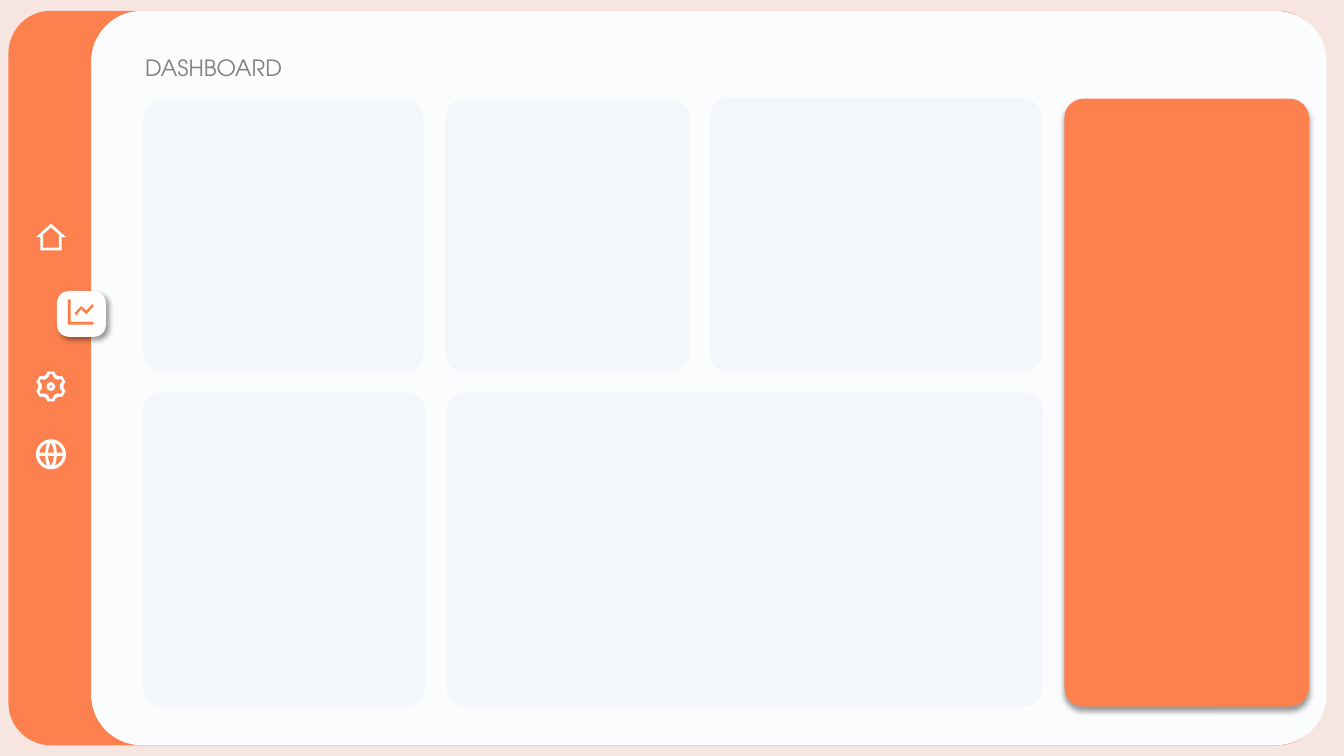
import math

from lxml import etree
from pptx import Presentation
from pptx.dml.color import RGBColor
from pptx.enum import shapes, text
from pptx.oxml import ns
from pptx.util import Pt

COLORS = {
    "backdrop": "F6E5E0",
    "orange": "FC814E",
    "panel": "FBFCFE",
    "card": "DAE3F3",
    "tile": "FFFEFD",
    "icon": "FFFFFF",
    "active": "FE7D44",
    "title": "808080",
    "shadow": "000000",
}
CARD_RADIUS = 13.7
CARDS = [
    (102.2, 70.6, 200.2, 195.6),
    (318.2, 70.6, 174.2, 195.6),
    (506.9, 69.9, 236.9, 196.3),
    (102.2, 280, 201.6, 225),
    (318.9, 280.3, 426.2, 224.5),
]


def rgb(name):
    return RGBColor.from_string(COLORS[name])


def paint(shape, color, alpha=None):
    shape.shadow.inherit = False
    shape.fill.solid()
    shape.fill.fore_color.rgb = rgb(color)
    shape.line.fill.background()
    if alpha is not None:
        tint = shape._element.spPr.find(".//" + ns.qn("a:srgbClr"))
        etree.SubElement(tint, ns.qn("a:alpha"), val=str(alpha * 1000))


def add_rounded(page, frame, radius, color, alpha=None):
    box = page.shapes.add_shape(
        shapes.MSO_SHAPE.ROUNDED_RECTANGLE, *(Pt(length) for length in frame)
    )
    box.adjustments[0] = radius / min(frame[2:])
    paint(box, color, alpha)
    return box


def drop_shadow(shape, degrees):
    effects = shape._element.spPr.find(ns.qn("a:effectLst"))
    shadow = etree.SubElement(
        effects, ns.qn("a:outerShdw"), blurRad=str(Pt(4)), dist=str(Pt(3)),
        dir=str(degrees * 60000), algn="ctr", rotWithShape="0",
    )
    shade = etree.SubElement(shadow, ns.qn("a:srgbClr"), val=COLORS["shadow"])
    etree.SubElement(shade, ns.qn("a:alpha"), val="40000")


def bend(shape, contours):
    """Join each run of three lines that stands for a curve into one Bezier."""
    lines = iter(list(shape._element.iter(ns.qn("a:lnTo"))))
    for contour in contours:
        for segment in contour[1:]:
            line = next(lines)
            if len(segment) == 6:
                line.addprevious(curve := etree.Element(ns.qn("a:cubicBezTo")))
                for part in (line, next(lines), next(lines)):
                    curve.append(part[0])
                    part.getparent().remove(part)


def add_icon(page, center, contours, color):
    """Draw closed contours of points (x, y) and curves (six numbers)."""
    def place(segment):
        return [
            (Pt(center[0] + x), Pt(center[1] + y))
            for x, y in zip(segment[::2], segment[1::2])
        ]

    builder = page.shapes.build_freeform(*place(contours[0][0])[0])
    for index, contour in enumerate(contours):
        if index:
            builder.move_to(*place(contour[0])[0])
        vertices = [spot for segment in contour[1:] for spot in place(segment)]
        builder.add_line_segments(vertices, close=True)
    icon = builder.convert_to_shape()
    bend(icon, contours)
    paint(icon, color)


def flip(contour, across=1, down=1):
    return [
        tuple(v * (down if i % 2 else across) for i, v in enumerate(segment))
        for segment in contour
    ]


def mirrored(half):
    """Close a right-hand half outline with its mirror image."""
    return half + [point for point in flip(half[::-1], across=-1) if point[0]]


def circle(r):
    k = 0.55 * r
    return [(r, 0), (r, k, k, r, 0, r), (-k, r, -r, k, -r, 0),
            (-r, -k, -k, -r, 0, -r), (k, -r, r, -k, r, 0)]


def polar(radius, degrees):
    angle = math.radians(degrees)
    return radius * math.cos(angle), radius * math.sin(angle)


def cog(radius, depth, half_tooth):
    """Outline of six flat teeth with rounded valleys between them."""
    low, slope = radius - depth, radius - 0.7 * depth
    contour = []
    for tooth in range(30, 390, 60):
        middle, reach = tooth + 30, 30 - half_tooth
        contour += [
            polar(radius, tooth - half_tooth),
            polar(radius, tooth + half_tooth),
            polar(slope, middle - 0.85 * reach) + polar(low, middle - 0.45 * reach)
            + polar(low, middle),
            polar(low, middle + 0.45 * reach) + polar(slope, middle + 0.85 * reach)
            + polar(radius, middle + reach),
        ]
    return contour


def house_contours():
    walls = [(0, -9.6), (10.7, 0), (7.6, 0), (7.6, 9.4)]
    room = [(0, -7), (5.6, -2), (5.6, 7.6)]
    return [mirrored(walls), mirrored(room)]


def chart_contours():
    axes = [(-9.3, -9), (-7.4, -9), (-7.4, 7.2), (9, 7.2), (9, 9), (-9.3, 9)]
    trend = [(8.1, -5.6), (9.2, -4.2), (3.9, 1.6), (0.2, -2),
             (-3.1, 2.4), (-4.6, 1), (0.2, -4.2), (3.9, -0.9)]
    return [axes, trend]


def gear_contours():
    return [cog(10.95, 2, 13.3), cog(9, 2.6, 6), circle(3.2), circle(1.1)]


def globe_contours():
    middle = [(-2.1, -1.1), (-1.9, -4, -1.2, -6.5, 0, -8.4),
              (1.2, -6.5, 1.9, -4, 2.1, -1.1)]
    side = [(4.2, -1.1), (4.1, -3.6, 3.6, -6, 2.8, -8.1),
            (5.8, -7, 8, -4.3, 8.45, -1.1)]
    windows = [flip(middle, down=down) for down in (1, -1)]
    windows += [flip(side, across, down) for across in (1, -1) for down in (1, -1)]
    return [circle(10.7)] + windows


def add_title(page, words):
    title = page.shapes.title
    frame = {"left": 96.5, "top": 35.3, "width": 177.8, "height": 26.6}
    for name, length in frame.items():
        setattr(title, name, Pt(length))
    body = title.text_frame
    for name, value in {
        "text": words,
        "word_wrap": True,
        "auto_size": text.MSO_AUTO_SIZE.NONE,
        "vertical_anchor": text.MSO_ANCHOR.TOP,
    }.items():
        setattr(body, name, value)
    para = body.paragraphs[0]
    para.alignment = text.PP_ALIGN.LEFT
    for name, value in {"name": "TeX Gyre Adventor", "size": Pt(16)}.items():
        setattr(para.font, name, value)
    para.font.color.rgb = rgb("title")
    page.shapes._spTree.append(title._element)  # bring in front of the panel


def main():
    deck = Presentation()
    deck.slide_width, deck.slide_height = Pt(960), Pt(540)
    page = deck.slides.add_slide(deck.slide_layouts[5])
    page.background.fill.solid()
    page.background.fill.fore_color.rgb = rgb("backdrop")

    add_rounded(page, (6, 7.7, 937.4, 524.7), 30.4, "orange")
    add_rounded(page, (65.1, 7.8, 882.4, 524.5), 36.2, "panel")

    add_icon(page, (36.4, 324.5), globe_contours(), "icon")
    add_icon(page, (36.4, 276.1), gear_contours(), "icon")
    add_icon(page, (36.4, 169.4), house_contours(), "icon")
    tile = add_rounded(page, (40.7, 207.9, 34.9, 32.7), 8.5, "tile")
    drop_shadow(tile, 45)
    add_icon(page, (57.8, 222.8), chart_contours(), "active")

    for frame in CARDS:
        add_rounded(page, frame, CARD_RADIUS, "card", alpha=23)
    highlight = add_rounded(page, (760.3, 70.5, 174.7, 434.2), CARD_RADIUS, "orange")
    drop_shadow(highlight, 90)

    add_title(page, "DASHBOARD")
    deck.save("out.pptx")


if __name__ == "__main__":
    main()
